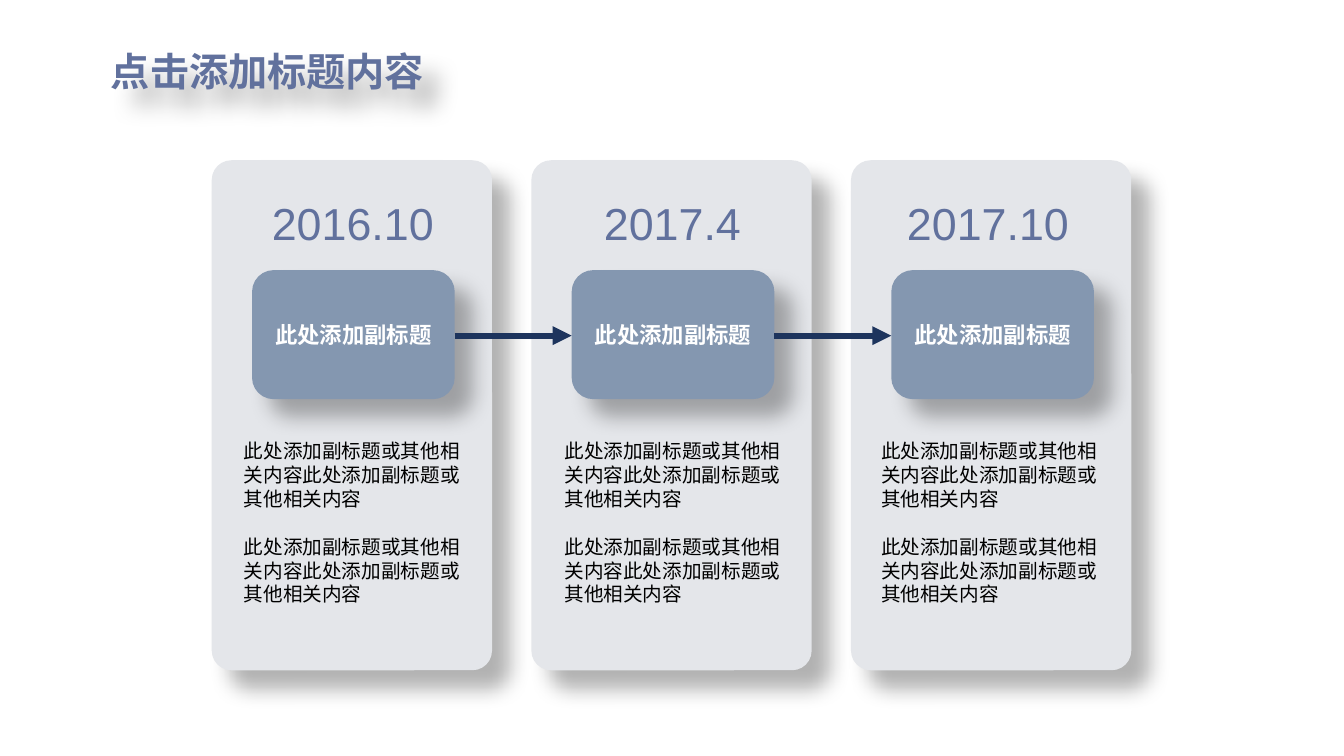
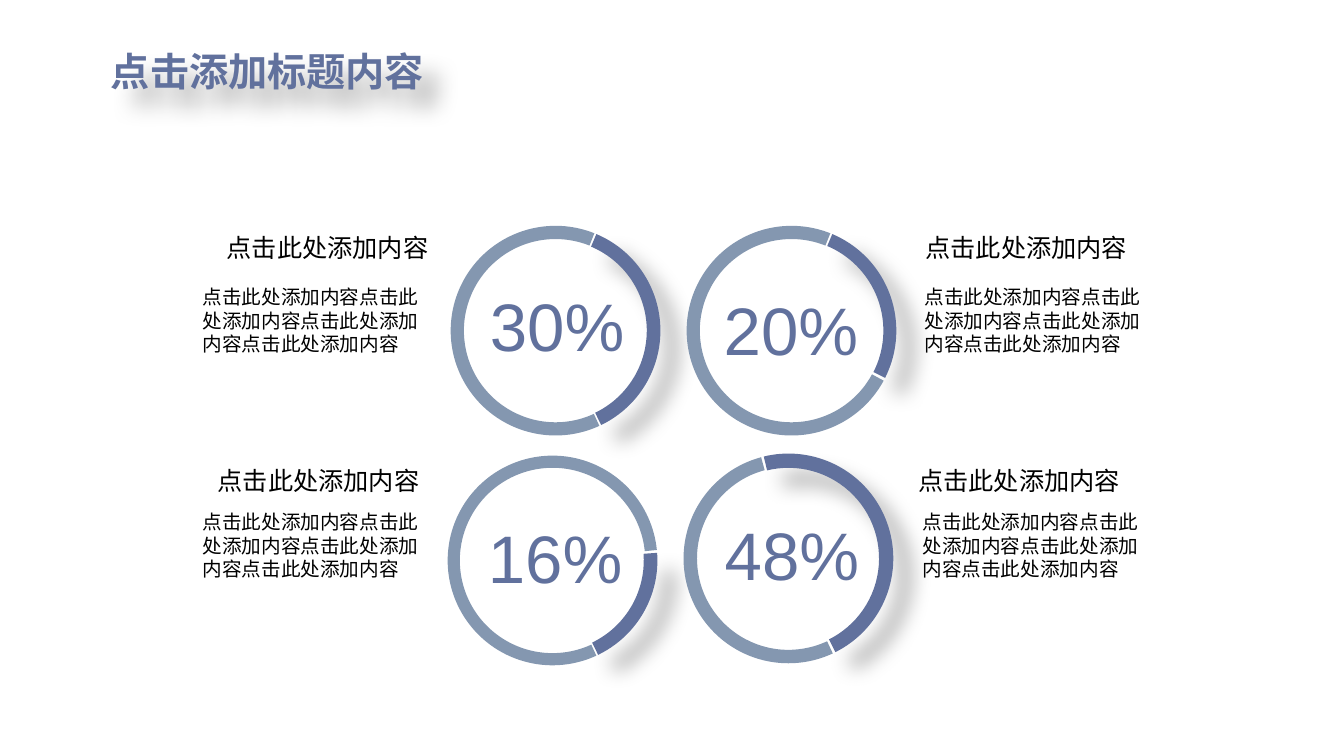
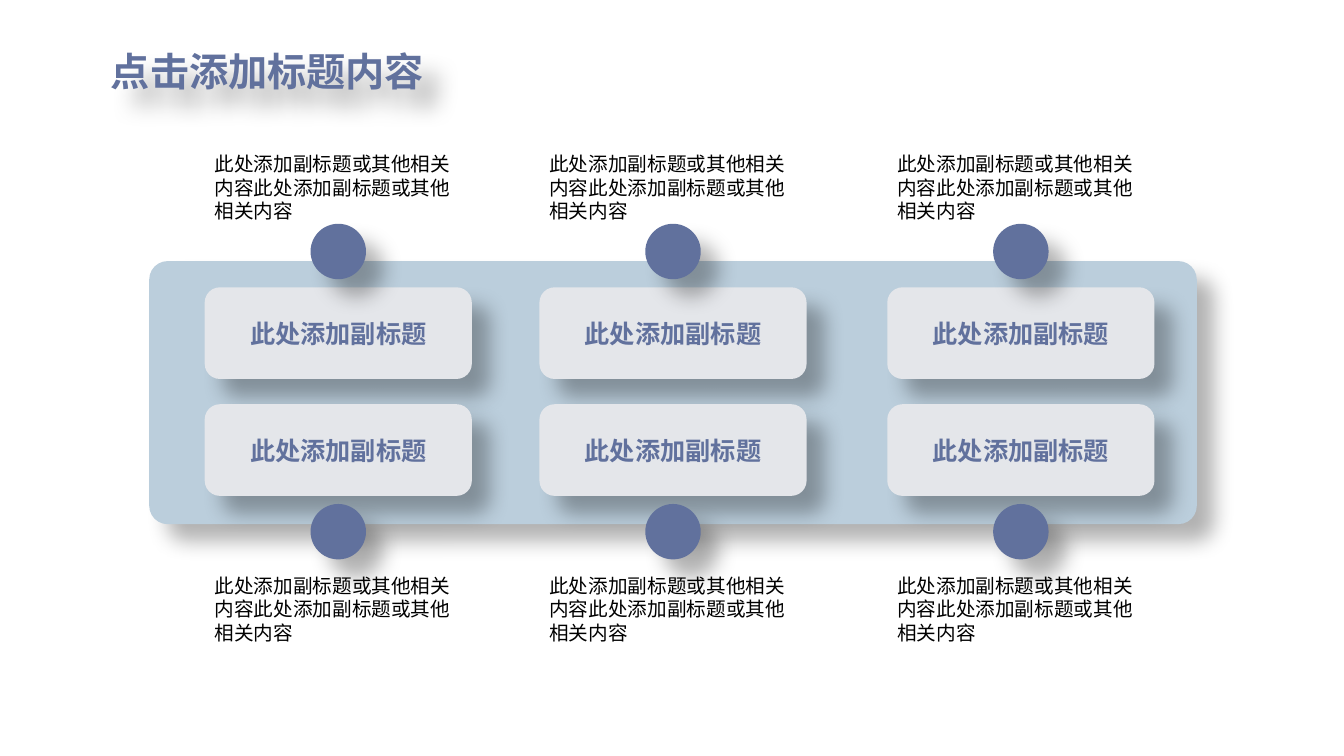
from lxml import etree
from pptx import Presentation
from pptx.dml.color import RGBColor
from pptx.enum import lang, shapes, text
from pptx.oxml import ns
from pptx.util import Inches, Pt

# Shared style
INDIGO = RGBColor(0x61, 0x71, 0x9D)
SLATE = RGBColor(0x84, 0x97, 0xB0)
NAVY = RGBColor(0x1D, 0x34, 0x5D)
PALE_BLUE = RGBColor(0xBB, 0xCE, 0xDC)
PALE_GREY = RGBColor(0xE4, 0xE6, 0xEA)
WHITE = RGBColor(0xFF, 0xFF, 0xFF)
BLACK = RGBColor(0, 0, 0)
FONT = "Arial"
PANEL_CORNER = 0.07
CENTER = text.PP_ALIGN.CENTER
LEFT = text.PP_ALIGN.LEFT
ROUNDED = shapes.MSO_SHAPE.ROUNDED_RECTANGLE

# Shared wording
TITLE = "点击添加标题内容"
SUBTITLE = "此处添加副标题"
DETAIL = "此处添加副标题或其他相关内容" * 2
RING_HEADING = "点击此处添加内容"
RING_DETAIL = RING_HEADING * 4


def box(left, top, width, height):
    return [Inches(value) for value in (left, top, width, height)]


def add_shadow(shape):
    """Soft shadow falling to the lower right, whatever the rotation."""
    shape.shadow.inherit = False
    effects = shape._element.spPr.find(ns.qn("a:effectLst"))
    shadow = etree.SubElement(
        effects, ns.qn("a:outerShdw"), blurRad=str(Pt(15)), dist=str(Pt(18)),
        dir=str(45 * 60000), algn="tl", rotWithShape="0")
    color = etree.SubElement(shadow, ns.qn("a:srgbClr"), val=str(BLACK))
    etree.SubElement(color, ns.qn("a:alpha"), val="30000")


def write(frame, words, size, color, bold=False, align=LEFT):
    paragraph = frame.paragraphs[0]
    paragraph.alignment = align
    run = paragraph.add_run()
    run.text = words
    font = run.font
    font.name, font.size, font.bold = FONT, Pt(size), bold
    font.color.rgb = color
    font.language_id = lang.MSO_LANGUAGE_ID.SIMPLIFIED_CHINESE


def add_title(slide):
    title = slide.shapes.title
    title.left, title.top, title.width, title.height = box(1, 0.42, 3.34, 0.57)
    frame = title.text_frame
    frame.word_wrap = False
    frame.auto_size = text.MSO_AUTO_SIZE.SHAPE_TO_FIT_TEXT
    frame.vertical_anchor = text.MSO_ANCHOR.TOP
    write(frame, TITLE, 28, INDIGO, bold=True)
    add_shadow(title)


def add_label(slide, place, words, size=14, color=BLACK, wrap=True, align=LEFT):
    frame = slide.shapes.add_textbox(*box(*place)).text_frame
    frame.word_wrap = wrap
    frame.auto_size = text.MSO_AUTO_SIZE.SHAPE_TO_FIT_TEXT
    write(frame, words, size, color, align=align)


def add_solid(parent, preset, place, color, shadow=True):
    solid = parent.shapes.add_shape(preset, *box(*place))
    solid.fill.solid()
    solid.fill.fore_color.rgb = color
    solid.line.fill.background()
    if shadow:
        add_shadow(solid)
    else:
        solid.shadow.inherit = False
    return solid


def add_panel(slide, place, color):
    add_solid(slide, ROUNDED, place, color).adjustments[0] = PANEL_CORNER


def add_button(slide, place, fill, size, color):
    button = add_solid(slide, ROUNDED, place, fill)
    button.text_frame.vertical_anchor = text.MSO_ANCHOR.MIDDLE
    write(button.text_frame, SUBTITLE, size, color, bold=True, align=CENTER)


def add_arrow(slide, start, end, y):
    arrow = slide.shapes.add_connector(
        shapes.MSO_CONNECTOR.STRAIGHT, Inches(start), Inches(y), Inches(end), Inches(y))
    arrow.line.color.rgb = NAVY
    arrow.line.width = Pt(4.5)
    etree.SubElement(arrow.line._get_or_add_ln(), ns.qn("a:tailEnd"), type="triangle")
    etree.SubElement(arrow._element.spPr, ns.qn("a:effectLst"))


def add_arc(group, left, top, color, rotation, start, end, percent, shadow):
    arc = add_solid(group, shapes.MSO_SHAPE.BLOCK_ARC, (left, top, 2.08, 2.08), color, shadow)
    arc.rotation = rotation
    # Angles are stored in 1/60000 degree, adjustments in 1/100000
    for index, value in enumerate((start * 0.6, end * 0.6, percent / 100)):
        arc.adjustments[index] = value


def add_ring(slide, left, top, turn, dark, light):
    group = slide.shapes.add_group_shape()
    add_arc(group, left, top, INDIGO, turn, *dark, shadow=True)
    add_arc(group, left, top, SLATE, turn + 132.4, *light, shadow=False)


def build_timeline(slide):
    # date, centre of the date, left of the details
    stages = [("2016.10", 3.5, 2.32), ("2017.4", 6.67, 5.5), ("2017.10", 9.8, 8.64)]
    first_card, pitch = 2.1, 3.17
    first_button, button_width, date_width = 2.5, 2.01, 2
    for number, (date, center, detail_left) in enumerate(stages):
        shift = number * pitch
        add_panel(slide, (first_card + shift, 1.59, 2.78, 5.06), PALE_GREY)
        add_button(slide, (first_button + shift, 2.68, button_width, 1.28), SLATE, 16, WHITE)
        add_label(slide, (center - date_width / 2, 1.89, date_width, 0.64), date, 32, INDIGO,
                  wrap=False, align=CENTER)
        for top in (4.31, 5.26):
            add_label(slide, (detail_left, top, 2.44, 0.81), DETAIL)
    # Arrows from each stage to the next
    for number in range(len(stages) - 1):
        start = first_button + button_width + number * pitch
        add_arrow(slide, start, start + pitch - button_width, 3.33)


def build_rings(slide):
    # left, top, turn, dark arc and light arc (start and end degrees, thickness percent)
    rings = [
        (4.47, 2.24, 112.9, (180, 311.34, 6.5), (180, 46.44, 6.3)),
        (4.44, 4.52, 112.9, (242.94, 311.34, 6.5), (180, 108.95, 5.8)),
        (6.81, 2.24, 112.9, (180, 273.9, 6.2), (143.19, 46.44, 6.3)),
        (6.78, 4.5, 113.3, (143.08, 310.11, 6.8), (179.28, 9.22, 6.4)),
    ]
    for ring in rings:
        add_ring(slide, *ring)
    # share with its place, then places of heading and detail
    captions = [
        ("30%", (4.75, 2.77), (2.15, 2.26), (1.91, 2.78)),
        ("16%", (4.73, 5.07), (2.06, 4.57), (1.91, 5.01)),
        ("20%", (7.07, 2.81), (9.08, 2.26), (9.07, 2.78)),
        ("48%", (7.08, 5.04), (9.01, 4.57), (9.05, 5.01)),
    ]
    for share, share_at, heading_at, detail_at in captions:
        add_label(slide, (*detail_at, 2.49, 0.81), RING_DETAIL)
        add_label(slide, (*heading_at, 2.22, 0.4), RING_HEADING, 18, wrap=False)
        add_label(slide, (*share_at, 1.55, 0.91), share, 48, INDIGO,
                  wrap=False, align=CENTER)


def build_topics(slide):
    add_panel(slide, (1.48, 2.59, 10.39, 2.61), PALE_BLUE)
    # tops of button, detail and dot in the upper and lower row
    rows = [(2.85, 1.46, 2.22), (4.01, 5.64, 5)]
    for left in (2.03, 5.35, 8.8):
        for button_top, detail_top, dot_top in rows:
            add_button(slide, (left, button_top, 2.65, 0.91), PALE_GREY, 18, INDIGO)
            add_label(slide, (left, detail_top, 2.64, 0.81), DETAIL)
            add_solid(slide, shapes.MSO_SHAPE.OVAL, (left + 1.05, dot_top, 0.55, 0.55), INDIGO)


def main():
    deck = Presentation()
    deck.slide_width, deck.slide_height = Inches(13.33), Inches(7.5)
    title_only = deck.slide_layouts[5]
    for build in (build_timeline, build_rings, build_topics):
        slide = deck.slides.add_slide(title_only)
        build(slide)
        add_title(slide)
    deck.save("out.pptx")


if __name__ == "__main__":
    main()
